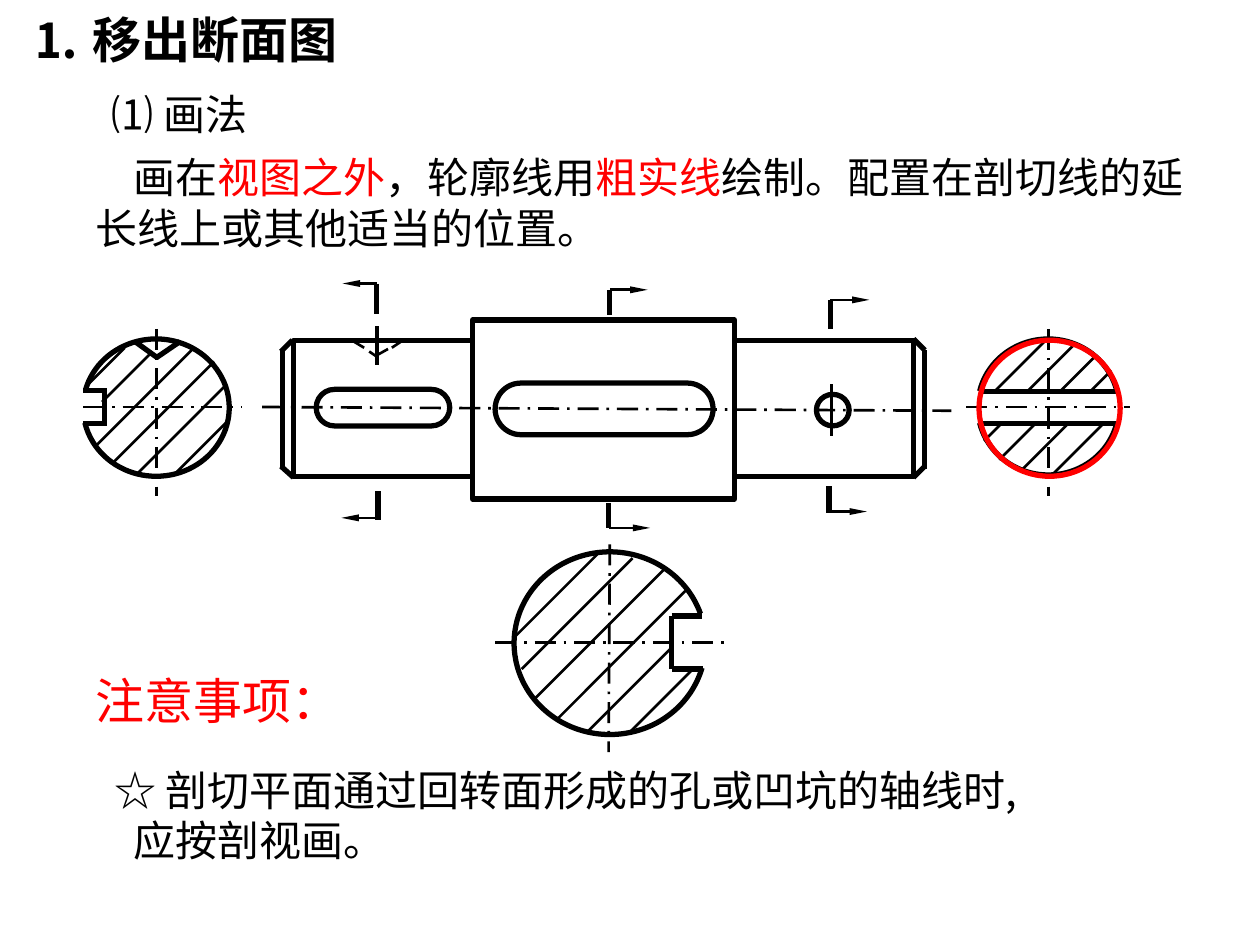
from lxml.etree import SubElement
from pptx import Presentation
from pptx.dml.color import RGBColor
from pptx.enum.dml import MSO_LINE
from pptx.enum.shapes import MSO_CONNECTOR, MSO_SHAPE
from pptx.enum.text import MSO_ANCHOR, PP_ALIGN
from pptx.oxml.ns import qn
from pptx.util import Pt

PX = 9144  # 100 px to the inch
COLORS = {"ink": "000000", "accent": "FF0000"}
FONT = "Noto Sans CJK SC"
THIN, THICK = 1.5, 3

prs = Presentation()
prs.slide_width, prs.slide_height = 1000 * PX, 750 * PX
slide = prs.slides.add_slide(prs.slide_layouts[6])
shapes = slide.shapes


def add_line(x1, y1, x2, y2, weight):
    line = shapes.add_connector(MSO_CONNECTOR.STRAIGHT, x1 * PX, y1 * PX, x2 * PX, y2 * PX)
    line.line.width = Pt(weight)
    line.line.color.rgb = RGBColor.from_string(COLORS["ink"])
    SubElement(line._element.spPr, qn("a:effectLst"))
    return line


def add_outline(kind, box, color="ink"):
    """Add an unfilled thick-edged shape; box is left, top, width, height."""
    outline = shapes.add_shape(kind, *[v * PX for v in box])
    outline.shadow.inherit = False
    outline.fill.background()
    outline.line.width = Pt(THICK)
    outline.line.color.rgb = RGBColor.from_string(COLORS[color])
    return outline


# Centre lines: shaft, then both axes of each section
for ends in [
    (208, 323, 755, 326),
    (767, 323, 897, 323), (832, 261, 832, 394),
    (393, 510, 575, 510), (484, 432, 483, 597),
    (66, 323, 192, 323), (124, 261, 124, 394),
]:
    add_line(*ends, THIN).line.dash_style = MSO_LINE.LONG_DASH_DOT

# Hatching at 45 degrees: lower end and run
hatching = [
    (816, 310, 36), (790, 310, 42), (842, 310, 28), (865, 311, 17),
    (793, 365, 28), (781, 350, 13), (810, 374, 38), (833, 379, 43),
    (500, 581, 50), (424, 555, 104), (414, 531, 88), (408, 506, 67),
    (443, 570, 101), (466, 581, 67),
    (108, 377, 72), (89, 368, 81), (75, 355, 78), (81, 319, 39),
    (70, 305, 29), (137, 378, 45),
]
for x, y, run in hatching:
    add_line(x, y, x + run, y - run, THIN)

# Section outlines: box, start and end angle in degrees, clockwise
section_arcs = [
    ((776, 269, 112, 108), 193, 347),
    ((776, 269, 112, 108), 13, 167),
    ((408, 438, 152, 145), 15, 342),
    ((66, 269, 116, 109), 194, 168),
]
for box, start, end in section_arcs:
    arc = add_outline(MSO_SHAPE.ARC, box)
    arc.adjustments[0] = start * 0.6
    arc.adjustments[1] = end * 0.6

thick_edges = [
    (777, 311, 888, 311), (777, 336, 888, 336),  # through hole
    (533, 489, 533, 531), (533, 489, 557, 489), (533, 531, 558, 531),  # lower keyway
    (66, 310, 85, 310), (83, 310, 83, 338), (82, 336, 66, 336),  # left keyway
    (143, 271, 124, 284), (107, 271, 125, 284),  # conical pit
    (232, 270, 223, 279), (233, 379, 223, 370), (224, 372, 224, 277),  # left chamfer
    (725, 269, 734, 278), (725, 379, 734, 370), (734, 372, 734, 278),  # right chamfer
]
for ends in thick_edges:
    add_line(*ends, THICK)
add_outline(MSO_SHAPE.OVAL, (777, 270, 112, 108), "accent")

# Shaft with its keyways and hole
for steps in [(233, 270, 142, 108), (583, 270, 142, 108), (375, 254, 208, 142)]:
    add_outline(MSO_SHAPE.RECTANGLE, steps)
for keyway in [(251, 309, 106, 29), (393, 304, 173, 41)]:
    add_outline(MSO_SHAPE.ROUNDED_RECTANGLE, keyway).adjustments[0] = 0.5
add_outline(MSO_SHAPE.OVAL, (648, 313, 26, 25))
add_line(660, 305, 660, 346, THIN)

# Pit on the shaft, with dashed hidden edges
add_line(299, 259, 299, 290, 2.25)
for ends in [(299, 282, 308, 277), (311, 276, 320, 270), (299, 283, 293, 279), (289, 276, 279, 270)]:
    add_line(*ends, THIN)

# Cutting plane marks: x, top and bottom of the bar, arrow height, arrow tip
cutting_marks = [
    (299, 225, 249, 225, 272), (300, 390, 413, 411, 271),
    (484, 230, 250, 230, 514), (483, 399, 419, 419, 516),
    (659, 238, 261, 238, 690), (658, 386, 407, 406, 688),
]
for x, top, bottom, arrow_y, tip in cutting_marks:
    add_line(x, top, x, bottom, THICK)
    arrow = add_line(x, arrow_y, tip, arrow_y, THIN)
    SubElement(arrow.line._get_or_add_ln(), qn("a:tailEnd"), type="triangle", w="sm", len="lg")

# Texts: box, size, bold, anchor, alignment, paragraphs of (left margin, first indent, runs)
TOP, MIDDLE, LEFT = MSO_ANCHOR.TOP, MSO_ANCHOR.MIDDLE, PP_ALIGN.LEFT
texts = [
    ((16, 0, 423, 57), 28, True, TOP, LEFT, [(0, 0, [("⒈ 移出断面图", "ink")])]),
    ((32, 62, 221, 50), 24, False, MIDDLE, PP_ALIGN.CENTER, [(0, 0, [("⑴ 画法", "ink")])]),
    ((66, 112, 885, 91), 24, False, MIDDLE, LEFT, [(0, 30, [
        ("画在", "ink"), ("视图之外", "accent"), ("，轮廓线用", "ink"), ("粗实线", "accent"),
        ("绘制。配置在剖切线的延长线上或其他适当的位置。", "ink")])]),
    ((66, 524, 287, 57), 28, False, TOP, LEFT, [(0, 0, [("注意事项：", "accent")])]),
    ((81, 598, 886, 91), 24, False, MIDDLE, LEFT, [
        (0, 0, [("☆ 剖切平面通过回转面形成的孔或凹坑的轴线时,", "ink")]),
        (15, 0, [("应按剖视画。", "ink")])]),
]
for box, size, bold, anchor, alignment, paragraphs in texts:
    frame = shapes.add_textbox(*[v * PX for v in box]).text_frame
    frame.word_wrap = True
    frame.vertical_anchor = anchor
    frame.margin_top, frame.margin_bottom = 8 * PX, 2 * PX
    for i, (margin, indent, runs) in enumerate(paragraphs):
        paragraph = frame.add_paragraph() if i else frame.paragraphs[0]
        paragraph.alignment = alignment
        paragraph.line_spacing = Pt(size * 1.2)
        properties = paragraph._p.get_or_add_pPr()
        properties.set("marL", str(margin * PX))
        properties.set("indent", str(indent * PX))
        font = paragraph.font
        font.name, font.size, font.bold = FONT, Pt(size), bold
        SubElement(font._element, qn("a:ea"), typeface=FONT)
        for words, color in runs:
            run = paragraph.add_run()
            run.text = words
            run.font.color.rgb = RGBColor.from_string(COLORS[color])

prs.save("out.pptx")
